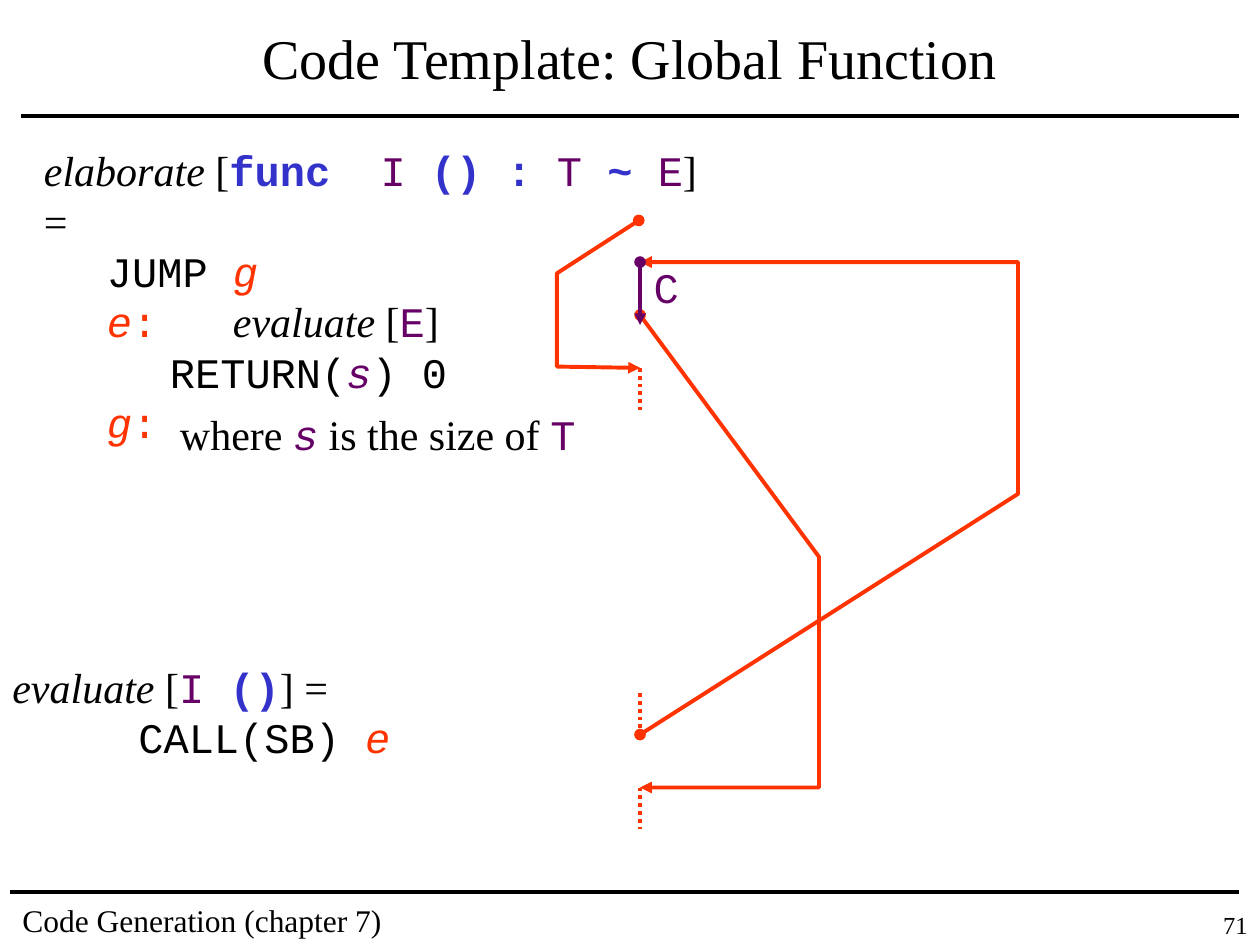
from dataclasses import dataclass

from lxml import etree
from pptx import Presentation
from pptx.dml.color import RGBColor
from pptx.enum.dml import MSO_LINE
from pptx.enum.shapes import MSO_CONNECTOR
from pptx.enum.text import MSO_ANCHOR, MSO_AUTO_SIZE, PP_ALIGN
from pptx.oxml.ns import qn
from pptx.util import Inches, Pt

STRAIGHT = MSO_CONNECTOR.STRAIGHT
DOTTED = MSO_LINE.ROUND_DOT
MIDDLE = MSO_ANCHOR.MIDDLE
FIT_SHAPE = MSO_AUTO_SIZE.SHAPE_TO_FIT_TEXT
LEFT, CENTER, RIGHT = PP_ALIGN.LEFT, PP_ALIGN.CENTER, PP_ALIGN.RIGHT


@dataclass(frozen=True)
class Theme:
    ink: RGBColor = RGBColor(0x00, 0x00, 0x00)
    keyword: RGBColor = RGBColor(0x33, 0x33, 0xCC)
    variable: RGBColor = RGBColor(0x66, 0x00, 0x66)
    jump: RGBColor = RGBColor(0xFF, 0x33, 0x00)
    prose: str = "Times New Roman"
    code: str = "Courier New"
    title: int = 32
    body: int = 24
    footer: int = 18
    number: int = 14
    stroke: float = 2.25


THEME = Theme()
TAB_COUNT = 8
CODE_AXIS = 5.08  # x of the instruction column the arrows meet

# style: (colour, font format)
STYLES = {
    "prose": (THEME.ink, {"name": THEME.prose}),
    "phrase": (THEME.ink, {"name": THEME.prose, "italic": True}),
    "code": (THEME.ink, {"name": THEME.code}),
    "keyword": (THEME.keyword, {"name": THEME.code, "bold": True}),
    "variable": (THEME.variable, {"name": THEME.code}),
    "size": (THEME.variable, {"name": THEME.code, "italic": True}),
    "label": (THEME.jump, {"name": THEME.code, "italic": True}),
    "colon": (THEME.jump, {"name": THEME.code}),
}

# each line: (level, [(text, style), ...])
ELABORATE = [
    (0, [("elaborate", "phrase"), (" [", "prose"), ("func  ", "keyword"),
         ("I ", "variable"), ("() : ", "keyword"), ("T", "variable"),
         (" ~ ", "keyword"), ("E", "variable"), ("] =", "prose")]),
    (0, [("\t", "prose"), ("JUMP ", "code"), ("g", "label")]),
    (1, [("e", "label"), (": \t", "colon"), ("evaluate", "phrase"),
         (" [", "prose"), ("E", "variable"), ("]", "prose")]),
    (1, [("\t", "prose"), ("RETURN(", "code"), ("s", "size"), (") 0", "code")]),
    (1, [("g", "label"), (":", "colon")]),
]
EVALUATE = [
    (0, [("evaluate", "phrase"), (" [", "prose"), ("I ", "variable"),
         ("()", "keyword"), ("] =", "prose")]),
    (1, [("\t", "label"), ("CALL(SB) ", "code"), ("e", "label")]),
]
WHERE = [(0, [("where ", "prose"), ("s", "size"),
              (" is the size of ", "prose"), ("T", "variable")])]


def set_layout(paragraph, level):
    """Indent by level and put a left tab stop at every inch."""
    paragraph.level = level
    properties = paragraph._p.get_or_add_pPr()
    properties.set("marL", str(Inches(0.5 * level)))
    properties.set("indent", "0")
    tabs = etree.SubElement(properties, qn("a:tabLst"))
    for inch in range(TAB_COUNT):
        etree.SubElement(tabs, qn("a:tab"), pos=str(Inches(inch)), algn="l")


def add_text(slide, box, lines, size=THEME.body, align=LEFT, **frame_format):
    frame = slide.shapes.add_textbox(*map(Inches, box)).text_frame
    for name, value in ({"word_wrap": True} | frame_format).items():
        setattr(frame, name, value)
    for index, (level, runs) in enumerate(lines):
        paragraph = frame.add_paragraph() if index else frame.paragraphs[0]
        set_layout(paragraph, level)
        paragraph.alignment = align
        for text, style in runs:
            run = paragraph.add_run()
            run.text = text
            color, font_format = STYLES[style]
            for name, value in ({"size": Pt(size)} | font_format).items():
                setattr(run.font, name, value)
            run.font.color.rgb = color


def add_code(slide, box, lines):
    add_text(slide, box, lines, word_wrap=False, auto_size=FIT_SHAPE)


def add_ends(shape):
    """Start the line with a dot and finish it with an arrowhead."""
    outline = shape._element.spPr.find(qn("a:ln"))
    etree.SubElement(outline, qn("a:headEnd"), type="oval")
    etree.SubElement(outline, qn("a:tailEnd"), type="triangle")


def set_stroke(shape, color):
    shape.line.color.rgb = color
    shape.line.width = Pt(THEME.stroke)


def add_line(slide, start, end, color=THEME.ink, dash=None):
    line = slide.shapes.add_connector(STRAIGHT, *map(Inches, start + end))
    set_stroke(line, color)
    if dash:
        line.line.dash_style = dash
    etree.SubElement(line._element.spPr, qn("a:effectLst"))
    return line


def add_jump(slide, points):
    start, *rest = [(Inches(x), Inches(y)) for x, y in points]
    builder = slide.shapes.build_freeform(*start)
    builder.add_line_segments(rest, close=False)
    jump = builder.convert_to_shape()
    jump.fill.background()
    jump.shadow.inherit = False
    set_stroke(jump, THEME.jump)
    add_ends(jump)


def add_continuation(slide, top):
    add_line(slide, (CODE_AXIS, top), (CODE_AXIS, top + 0.33), THEME.jump, DOTTED)


def add_frame(slide):
    add_line(slide, (0.17, 0.92), (9.83, 0.92))
    add_line(slide, (0.08, 7.08), (9.83, 7.08))
    add_text(slide, (0.08, 7.1, 3.83, 0.4),
             [(0, [("Code Generation (chapter 7)", "prose")])], THEME.footer)
    add_text(slide, (0.25, 0.08, 9.5, 0.75),
             [(0, [("Code Template: Global Function", "prose")])],
             THEME.title, CENTER, vertical_anchor=MIDDLE)
    add_text(slide, (9.25, 7.17, 0.75, 0.33), [(0, [("71", "prose")])],
             THEME.number, RIGHT)


def main():
    deck = Presentation()
    deck.slide_width, deck.slide_height = Inches(10), Inches(7.5)
    slide = deck.slides.add_slide(deck.slide_layouts[6])

    add_frame(slide)
    add_code(slide, (0.25, 1.1, 5.65, 2.1), ELABORATE)
    add_code(slide, (5.09, 2.03, 0.4, 0.5), [(0, [("C", "variable")])])
    add_code(slide, (0, 5.2, 3.7, 0.9), EVALUATE)
    add_code(slide, (1.33, 3.19, 3.34, 0.5), WHERE)

    for top in (2.92, 5.5, 6.25):
        add_continuation(slide, top)
    skip_body = [(5.07, 1.75), (4.42, 2.17), (4.42, 2.91), (CODE_AXIS, 2.92)]
    call = [(CODE_AXIS, 5.83), (8.08, 3.92), (8.08, 2.08), (CODE_AXIS, 2.08)]
    return_to_caller = [(CODE_AXIS, 2.5), (6.5, 4.42), (6.5, 6.25), (CODE_AXIS, 6.25)]
    for points in (skip_body, call, return_to_caller):
        add_jump(slide, points)
    body = add_line(slide, (CODE_AXIS, 2.08), (CODE_AXIS, 2.58), THEME.variable)
    add_ends(body)

    deck.save("out.pptx")


if __name__ == "__main__":
    main()
